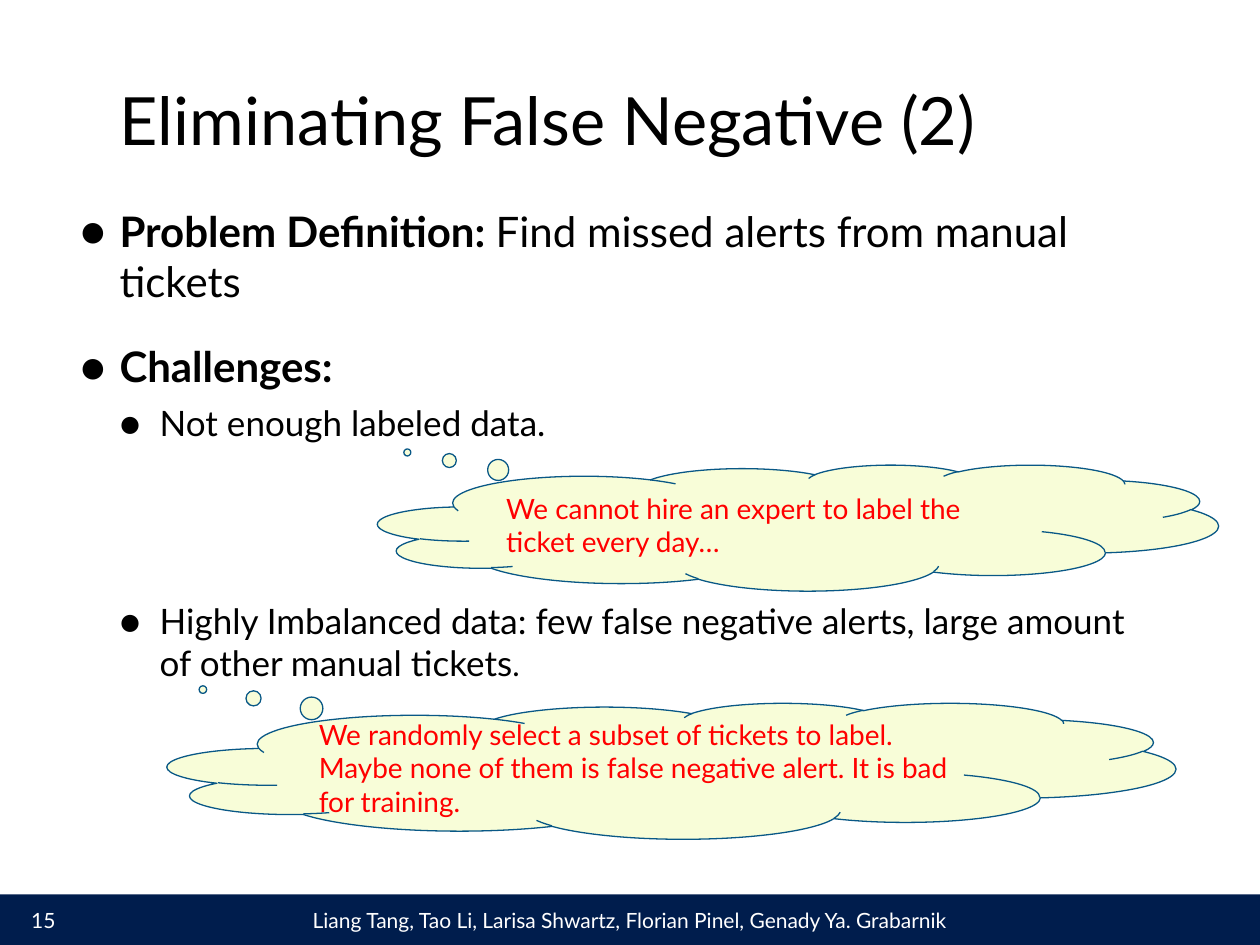
from lxml import etree
from pptx import Presentation
from pptx.dml.color import RGBColor
from pptx.enum.shapes import MSO_SHAPE
from pptx.enum.text import MSO_ANCHOR, MSO_AUTO_SIZE, PP_ALIGN
from pptx.oxml.ns import qn
from pptx.util import Cm, Pt

RECT, CLOUD = MSO_SHAPE.RECTANGLE, MSO_SHAPE.CLOUD_CALLOUT
TOP, MIDDLE, BOTTOM = MSO_ANCHOR.TOP, MSO_ANCHOR.MIDDLE, MSO_ANCHOR.BOTTOM
LEFT, CENTER, RIGHT = PP_ALIGN.LEFT, PP_ALIGN.CENTER, PP_ALIGN.RIGHT

FONT = "Lato"
COLORS = {"navy": "001D4D", "white": "FFFFFF", "black": "000000",
          "cloud": "F8FDD8", "outline": "095886", "red": "FF0000"}

TITLE = "Eliminating False Negative (2)"
AUTHORS = "Liang Tang, Tao Li, Larisa Shwartz, Florian Pinel, Genady Ya. Grabarnik"
PAGE_NUMBER = "15"
# (level, space before in points, [(text, size, bold), ...])
BULLETS = [
    (0, 20, [("Problem Definition: ", 24, True),
             ("Find missed alerts from manual tickets", 24, False)]),
    (0, 20, [("Challenges:", 24, True)]),
    (1, 6, [("Not enough labeled data.", 20, False)]),
    # the wide gap leaves room for the first cloud
    (1, 89, [("Highly Imbalanced data: few false negative alerts, "
              "large amount of other manual tickets", 20, False),
             (".", 18, False)]),
]
INDENTS = [(0.79, 0.79), (1.6, 0.81)]  # text indent and bullet hang, cm
# (left, top, width, height) in cm
CLOUDS = [
    ((7.62, 9.37, 16.94, 2.54),
     "We cannot hire an expert to label the ticket every day…"),
    ((3.38, 14.17, 20.32, 2.74),
     "We randomly select a subset of tickets to label. Maybe none of them "
     "is false negative alert. It is bad for training."),
]
CLOUD_TAIL = (-0.465, -0.598)
PAGE_WIDTH, PAGE_HEIGHT, FOOTER_HEIGHT = 25.4, 19.05, 1.02
FOOTER_TOP = PAGE_HEIGHT - FOOTER_HEIGHT


def rgb(name):
    return RGBColor.from_string(COLORS[name])


def add_span(para, text, size, color, bold=False):
    span = para.add_run()
    span.text = text
    span.font.name = FONT
    span.font.size = Pt(size)
    span.font.bold = bold
    span.font.color.rgb = rgb(color)


def prepare_frame(box, anchor):
    frame = box.text_frame
    frame.word_wrap = True
    frame.auto_size = MSO_AUTO_SIZE.NONE
    frame.vertical_anchor = anchor
    return frame


def write_line(box, text, size, color, align, anchor=MIDDLE):
    para = prepare_frame(box, anchor).paragraphs[0]
    para.alignment = align
    add_span(para, text, size, color)


def add_filled_shape(page, kind, place, fill, line=None):
    shape = page.shapes.add_shape(kind, *map(Cm, place))
    shape.shadow.inherit = False
    shape.fill.solid()
    shape.fill.fore_color.rgb = rgb(fill)
    if line:
        shape.line.color.rgb = rgb(line)
        shape.line.width = Pt(0.75)
    else:
        shape.line.fill.background()
    return shape


def set_bullet(para, level):
    indent, hang = INDENTS[level]
    para.level = level
    props = para._p.get_or_add_pPr()
    props.set("marL", str(Cm(indent)))
    props.set("indent", str(-Cm(hang)))
    etree.SubElement(props, qn("a:buFont")).set("typeface", FONT)
    etree.SubElement(props, qn("a:buChar")).set("char", "●")


def add_bullets(page):
    box = page.shapes.add_textbox(Cm(1.37), Cm(4.01), Cm(22.33), Cm(12.12))
    frame = prepare_frame(box, TOP)
    for i, (level, gap, spans) in enumerate(BULLETS):
        para = frame.add_paragraph() if i else frame.paragraphs[0]
        para.space_before = Pt(gap)
        set_bullet(para, level)
        for text, size, bold in spans:
            add_span(para, text, size, "black", bold)


def add_clouds(page):
    for place, text in CLOUDS:
        cloud = add_filled_shape(page, CLOUD, place, "cloud", "outline")
        for i, offset in enumerate(CLOUD_TAIL):
            cloud.adjustments[i] = offset
        write_line(cloud, text, 16, "red", LEFT)


def add_footer(page):
    place = (0, FOOTER_TOP, PAGE_WIDTH, FOOTER_HEIGHT)
    bar = add_filled_shape(page, RECT, place, "navy")
    write_line(bar, AUTHORS, 12, "white", CENTER)
    number = page.shapes.add_textbox(
        Cm(0), Cm(FOOTER_TOP), Cm(1.37), Cm(FOOTER_HEIGHT))
    write_line(number, PAGE_NUMBER, 12, "white", RIGHT)


def main():
    deck = Presentation()
    deck.slide_width, deck.slide_height = Cm(PAGE_WIDTH), Cm(PAGE_HEIGHT)
    page = deck.slides.add_slide(deck.slide_layouts[5])
    title = page.shapes.title
    title.left, title.top = Cm(2.16), Cm(0.43)
    title.width, title.height = Cm(21.06), Cm(2.9)
    write_line(title, TITLE, 38, "black", LEFT, BOTTOM)
    add_footer(page)
    add_bullets(page)
    add_clouds(page)
    deck.save("out.pptx")


if __name__ == "__main__":
    main()
